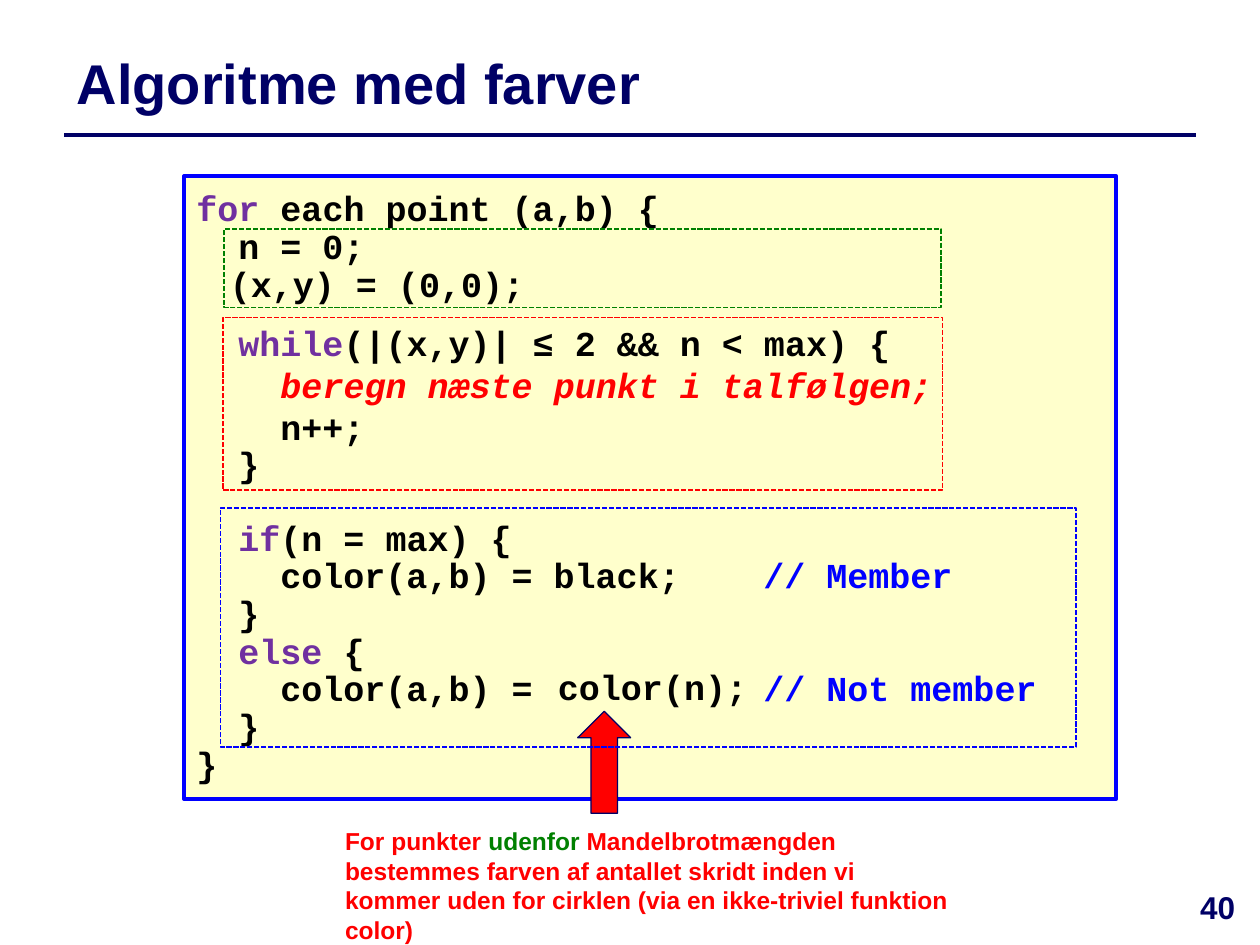
from dataclasses import dataclass

from lxml.etree import SubElement
from pptx import Presentation
from pptx.dml.color import RGBColor
from pptx.enum.dml import MSO_LINE
from pptx.enum.shapes import MSO_CONNECTOR, MSO_SHAPE as Shape
from pptx.enum.text import MSO_ANCHOR as Anchor, PP_ALIGN as Align
from pptx.oxml.ns import qn
from pptx.util import Inches, Pt


@dataclass(frozen=True)
class Theme:
    navy: str = "000066"
    blue: str = "0000FF"
    red: str = "FF0000"
    green: str = "008000"
    purple: str = "7030A0"
    black: str = "000000"
    cream: str = "FFFFCC"
    sans: str = "Arial"
    mono: str = "Courier New"
    title: int = 32
    code: int = 20
    number: int = 18
    note: int = 14


THEME = Theme()
COMMENT_TAB = 4.5  # 27 monospaced characters
KEYWORD = {"color": THEME.purple}
COMMENT = {"color": THEME.blue}
STEP = {"color": THEME.red, "italic": True}

# Each line: its runs, then its paragraph format where it differs
TIGHT = {"line_spacing": 0.9}
LOOSE = {"line_spacing": 1.4}
SINGLE = {"line_spacing": 1.0}
CODE = [
    ([("for ", KEYWORD), ("each point (a,b) {", {})], TIGHT),
    ([("  n = 0;", {})], TIGHT),
    ([("  ", {"size": 16}), ("(x,y) = (0,0);", {})], TIGHT),
    ([("  ", {}), ("while", KEYWORD), ("(|(x,y)| ≤ 2 && n < max) {", {})], LOOSE),
    ([("    ", {}), ("beregn næste punkt i talfølgen;", STEP)], SINGLE),
    ([("    n++;", {})], SINGLE),
    ([("  }", {})], TIGHT),
    ([("  ", {}), ("if", KEYWORD), ("(n = max) {", {})],
     {**LOOSE, "space_before": Pt(8)}),
    ([("    color(a,b) = black;\t", {}), ("// Member", COMMENT)], TIGHT),
    ([("  }", {})], TIGHT),
    ([("  ", {}), ("else ", KEYWORD), ("{", {})], TIGHT),
    ([("    color(a,b) =\t", {}), ("// Not member", COMMENT)], TIGHT),
    ([("  }", {})], TIGHT),
    ([("}", {})], TIGHT),
]


def apply(target, values):
    for name, value in values.items():
        setattr(target, name, value)


def place(shape, area):
    apply(shape, dict(zip(("left", "top", "width", "height"), map(Inches, area))))


def style_span(span, color, size, name, italic=False):
    apply(span.font, {"size": Pt(size), "name": name, "bold": True,
                      "italic": italic})
    span.font.color.rgb = RGBColor.from_string(color)


def write(box, lines, base, frame_format=None):
    """Fill a shape with (runs, paragraph format) lines."""
    frame = box.text_frame
    apply(frame, {"word_wrap": True, "vertical_anchor": Anchor.TOP,
                  **(frame_format or {})})
    for index, (runs, para_format) in enumerate(lines):
        para = frame.add_paragraph() if index else frame.paragraphs[0]
        apply(para, {"alignment": Align.LEFT, **para_format})
        if any("\t" in text for text, _ in runs):
            tabs = SubElement(para._p.get_or_add_pPr(), qn("a:tabLst"))
            SubElement(tabs, qn("a:tab"), pos=str(Inches(COMMENT_TAB)), algn="l")
        for text, changes in runs:
            span = para.add_run()
            span.text = text
            style_span(span, **{**base, **changes})


def add_block(page, area, fill=None, line=None, width=1, dash=None,
              kind=Shape.RECTANGLE):
    box = page.shapes.add_shape(kind, *map(Inches, area))
    box.shadow.inherit = False
    if fill:
        box.fill.solid()
        box.fill.fore_color.rgb = RGBColor.from_string(fill)
    else:
        box.fill.background()
    if line:
        box.line.color.rgb = RGBColor.from_string(line)
        apply(box.line, {"width": Pt(width), "dash_style": dash})
    else:
        box.line.fill.background()
    return box


def add_frame(page, area, color):
    add_block(page, area, line=color, dash=MSO_LINE.SQUARE_DOT)


def add_label(page, area, runs, base, **para_format):
    box = page.shapes.add_textbox(*map(Inches, area))
    write(box, [(runs, para_format)], base)


def add_title(page, text):
    rule = page.shapes.add_connector(
        MSO_CONNECTOR.STRAIGHT, *map(Inches, (0.51, 1.07, 9.49, 1.07)))
    rule.line.color.rgb = RGBColor.from_string(THEME.navy)
    rule.line.width = Pt(2)
    SubElement(rule._element.spPr, qn("a:effectLst"))
    title = page.shapes.title
    place(title, (0.51, 0.28, 8.98, 0.75))
    base = {"color": THEME.navy, "size": THEME.title, "name": THEME.sans}
    write(title, [([(text, {})], {})], base, {"vertical_anchor": Anchor.MIDDLE})


def main():
    deck = Presentation()
    apply(deck, {"slide_width": Inches(10), "slide_height": Inches(7.5)})
    page = deck.slides.add_slide(deck.slide_layouts[5])
    add_title(page, "Algoritme med farver")

    # Code panel
    code = {"color": THEME.black, "size": THEME.code, "name": THEME.mono}
    panel = add_block(page, (1.46, 1.4, 7.4, 4.94), THEME.cream, THEME.blue, 2.25)
    write(panel, CODE, code, {"margin_top": Inches(0.12)})

    # Loop frame, colour call and the arrow to it
    add_frame(page, (1.77, 2.52, 5.71, 1.37), THEME.red)
    call = add_block(page, (4.33, 5.27, 1.74, 0.41), THEME.cream)
    write(call, [([("color(n);", {})], TIGHT)], code)
    arrow = add_block(page, (4.39, 5.84, 0.81, 0.42), THEME.red, THEME.navy, 0.75,
                      kind=Shape.LEFT_ARROW)
    arrow.rotation = 90

    # Slide number and explanation
    add_label(page, (9.33, 7, 0.67, 0.5), [("40", {})],
              {"color": THEME.navy, "size": THEME.number, "name": THEME.sans},
              alignment=Align.CENTER)
    add_label(page, (2.64, 6.51, 5.04, 0.81),
              [("For punkter ", {}), ("udenfor", {"color": THEME.green}),
               (" Mandelbrotmængden bestemmes farven af antallet skridt inden vi "
                "kommer uden for cirklen (via en ikke-triviel funktion color)", {})],
              {"color": THEME.red, "size": THEME.note, "name": THEME.sans})

    # Frames around the colouring and the start values
    add_frame(page, (1.75, 4.03, 6.79, 1.9), THEME.blue)
    add_frame(page, (1.78, 1.82, 5.69, 0.62), THEME.green)

    deck.save("out.pptx")


if __name__ == "__main__":
    main()
